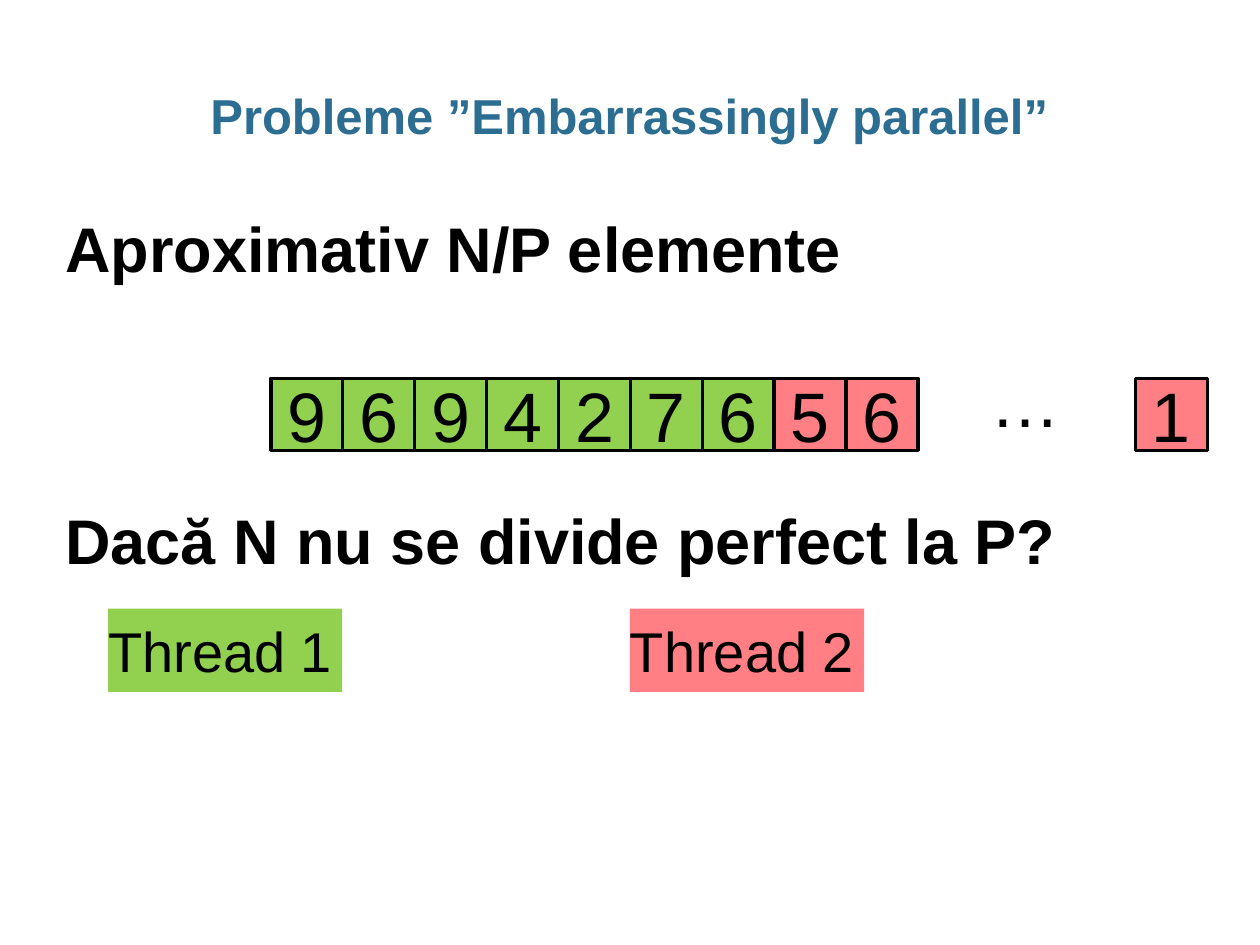
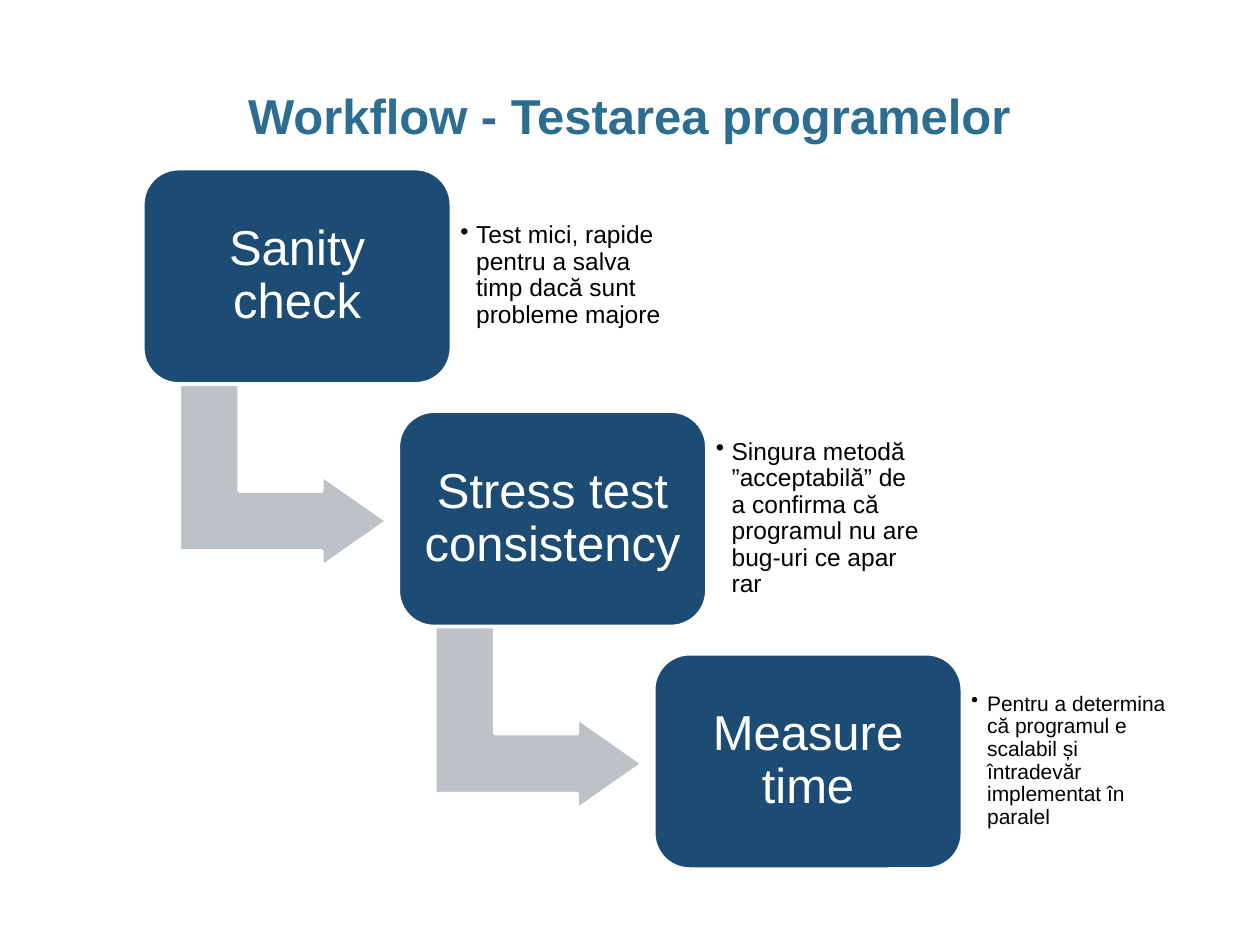
import collections
import pptx
import pptx.util
import pptx.dml.color
import pptx.enum.shapes
import pptx.enum.text
import pptx.oxml

Cm, Pt = pptx.util.Cm, pptx.util.Pt
Shape = pptx.enum.shapes.MSO_SHAPE
Align = pptx.enum.text.PP_ALIGN
Anchor = pptx.enum.text.MSO_ANCHOR

FONT = "Arial"
BLACK, WHITE = "000000", "FFFFFF"
TITLE_BLUE, STEP_BLUE, ARROW_GREY = "2C6D92", "1C4C74", "BDC2C9"
GREEN, RED = "92D050", "FF7F85"

# All box values are centimetres
Box = collections.namedtuple("Box", "left top width height")
TITLE_BOX = Box(0.86, 1.73, 23.65, 1.27)


def colour(value):
    return pptx.dml.color.RGBColor.from_string(value)


def lengths(box):
    return [Cm(value) for value in box]


def set_insets(frame, across, down):
    frame.margin_left = frame.margin_right = Cm(across)
    frame.margin_top = frame.margin_bottom = Cm(down)


def style(para, size, ink=BLACK, bold=False, align=Align.LEFT, spacing=None):
    para.alignment = align
    para.line_spacing = spacing
    para.font.name, para.font.size, para.font.bold = FONT, Pt(size), bold
    para.font.color.rgb = colour(ink)


def add_block(page, kind, box, fill, line=None):
    block = page.shapes.add_shape(kind, *lengths(box))
    block.shadow.inherit = False
    block.fill.solid()
    block.fill.fore_color.rgb = colour(fill)
    if line:
        block.line.color.rgb = colour(line)
        block.line.width = Pt(2)
    else:
        block.line.fill.background()
    return block


def add_text(page, box, wrap=True):
    frame = page.shapes.add_textbox(*lengths(box)).text_frame
    frame.word_wrap = wrap
    return frame


def add_page(deck, title):
    page = deck.slides.add_slide(deck.slide_layouts[5])  # title only
    holder = page.shapes.title
    holder.left, holder.top, holder.width, holder.height = lengths(TITLE_BOX)
    frame = holder.text_frame
    frame.text = title
    frame.auto_size = pptx.enum.text.MSO_AUTO_SIZE.NONE
    frame.vertical_anchor = Anchor.MIDDLE
    set_insets(frame, 0, 0.13)
    style(frame.paragraphs[0], 28, TITLE_BLUE, True, Align.CENTER, 0.95)
    return page


# Row of numbers, with a gap before the last one
def add_array(page, box, digits, last, green_count):
    side = box.height
    cells = [(box.left + side * i, digit, GREEN if i < green_count else RED)
             for i, digit in enumerate(digits)]
    cells.append((box.left + box.width - side, last, RED))
    for left, digit, fill in cells:
        cell = add_block(page, Shape.RECTANGLE,
                         Box(left, box.top, side, side), fill, BLACK)
        cell.text_frame.text = digit
        style(cell.text_frame.paragraphs[0], 40, align=Align.CENTER)
    dots = add_text(page, Box(box.left + 14.25, box.top - 0.54, 1.93, 1.96),
                    wrap=False)
    dots.text = "…"
    style(dots.paragraphs[0], 40)


# Two headings, one above and one below the row of numbers
def add_headings(page, box, upper, lower):
    frame = add_text(page, box)
    frame.text = upper
    para = frame.add_paragraph()
    para.text = lower
    for heading in frame.paragraphs:
        style(heading, 36, bold=True)
    para.space_before = Pt(124)


def add_legend(page, box, entries):
    width = 4.72
    gap = (box.width - width * len(entries)) / (len(entries) - 1)
    for i, (label, fill) in enumerate(entries):
        left = box.left + i * (width + gap)
        key = add_block(page, Shape.RECTANGLE,
                        Box(left, box.top, width, box.height), fill)
        set_insets(key.text_frame, 0, 0.13)
        key.text_frame.text = label
        style(key.text_frame.paragraphs[0], 32)


# One step: rounded box, caption at its right, arrow to the next step
def add_step(page, box, name, caption, size, has_next):
    if has_next:
        # The arrow is turned a quarter, so its height runs across
        arrow = add_block(page, Shape.BENT_UP_ARROW,
                          Box(box.left + 0.99, box.top + 4.09, 3.68, 4.19),
                          ARROW_GREY, WHITE)
        arrow.rotation = 90
        for i, value in enumerate((0.328, 0.25, 0.358)):
            arrow.adjustments[i] = value

    step = add_block(page, Shape.ROUNDED_RECTANGLE, box, STEP_BLUE, WHITE)
    set_insets(step.text_frame, 0.3, 0.3)
    step.text_frame.text = name
    style(step.text_frame.paragraphs[0], 28, WHITE,
          align=Align.CENTER, spacing=0.9)

    frame = add_text(page, Box(box.left + box.width, box.top + 0.41, 4.52, 3.5))
    frame.vertical_anchor = Anchor.MIDDLE
    set_insets(frame, 0.18, 0.18)
    frame.text = caption
    para = frame.paragraphs[0]
    style(para, size, spacing=0.9)
    add_bullet(para, 0.32)


def add_bullet(para, indent):
    properties = para._p.get_or_add_pPr()
    properties.set("marL", str(Cm(indent)))
    properties.set("indent", str(-Cm(indent)))
    bullet = pptx.oxml.parse_xml(
        '<a:buChar xmlns:a="http://schemas.openxmlformats.org/drawingml/2006/main"'
        ' char="•"/>')
    properties.insert_element_before(bullet, "a:tabLst", "a:defRPr", "a:extLst")


def add_staircase(page, box, steps):
    width, height = 6.22, 4.34
    across = (box.width - width) / (len(steps) - 1)
    down = (box.height - height) / (len(steps) - 1)
    for i, (name, caption, size) in enumerate(steps):
        add_step(page, Box(box.left + i * across, box.top + i * down, width, height),
                 name, caption, size, has_next=i < len(steps) - 1)


deck = pptx.Presentation()
deck.slide_width, deck.slide_height = Cm(25.4), Cm(19.05)

# Slide 1: numbers shared between two threads
page = add_page(deck, "Probleme ”Embarrassingly parallel”")
add_array(page, Box(5.46, 7.63, 18.88, 1.45), "969427656", "1", 7)
add_headings(page, Box(1.07, 4.09, 23.95, 7.95),
             "Aproximativ N/P elemente", "Dacă N nu se divide perfect la P?")
add_legend(page, Box(2.18, 12.27, 15.24, 1.68),
           [("Thread 1", GREEN), ("Thread 2", RED)])

# Slide 2: the testing steps
page = add_page(deck, "Workflow - Testarea programelor")
add_staircase(page, Box(2.88, 3.4, 16.52, 14.12), [
    ("Sanity check",
     "Test mici, rapide pentru a salva timp dacă sunt probleme majore", 14),
    ("Stress test consistency",
     "Singura metodă ”acceptabilă” de a confirma că programul nu are "
     "bug-uri ce apar rar", 14),
    ("Measure time",
     "Pentru a determina că programul e scalabil și întradevăr "
     "implementat în paralel", 12),
])

deck.save("out.pptx")
